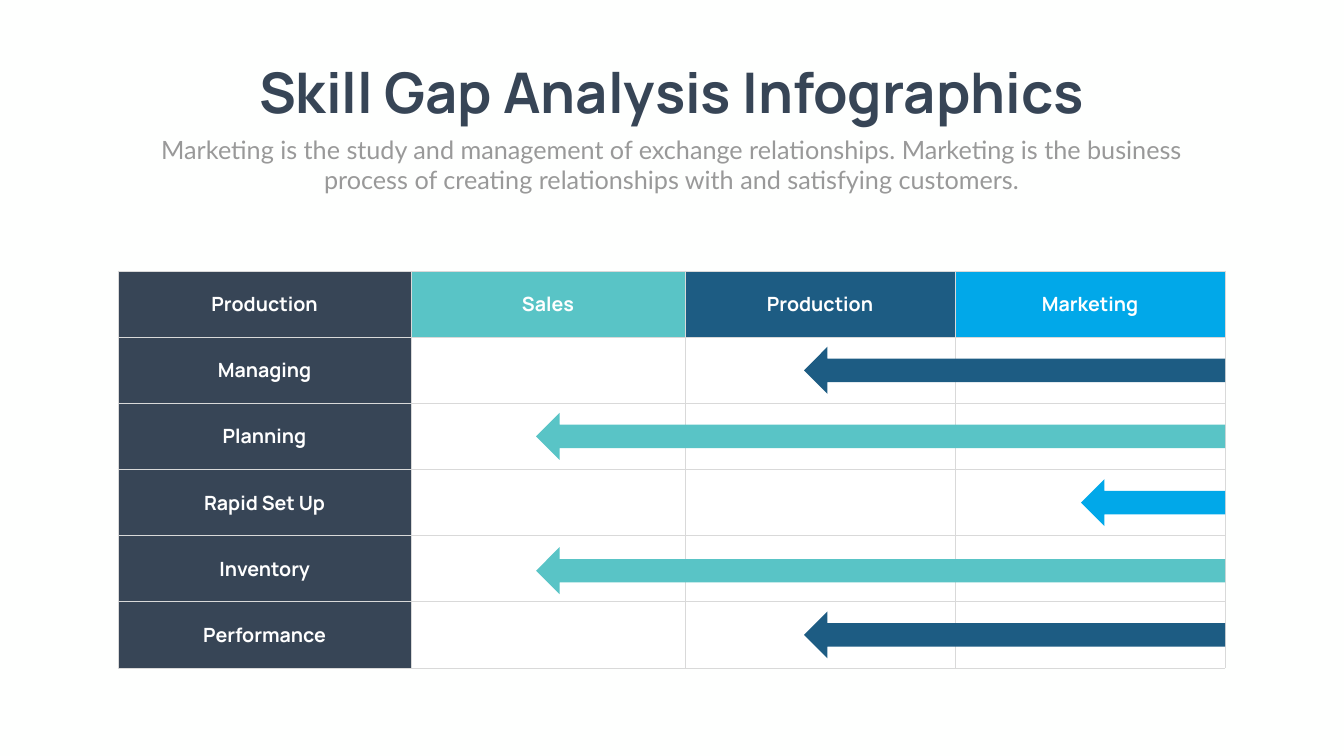
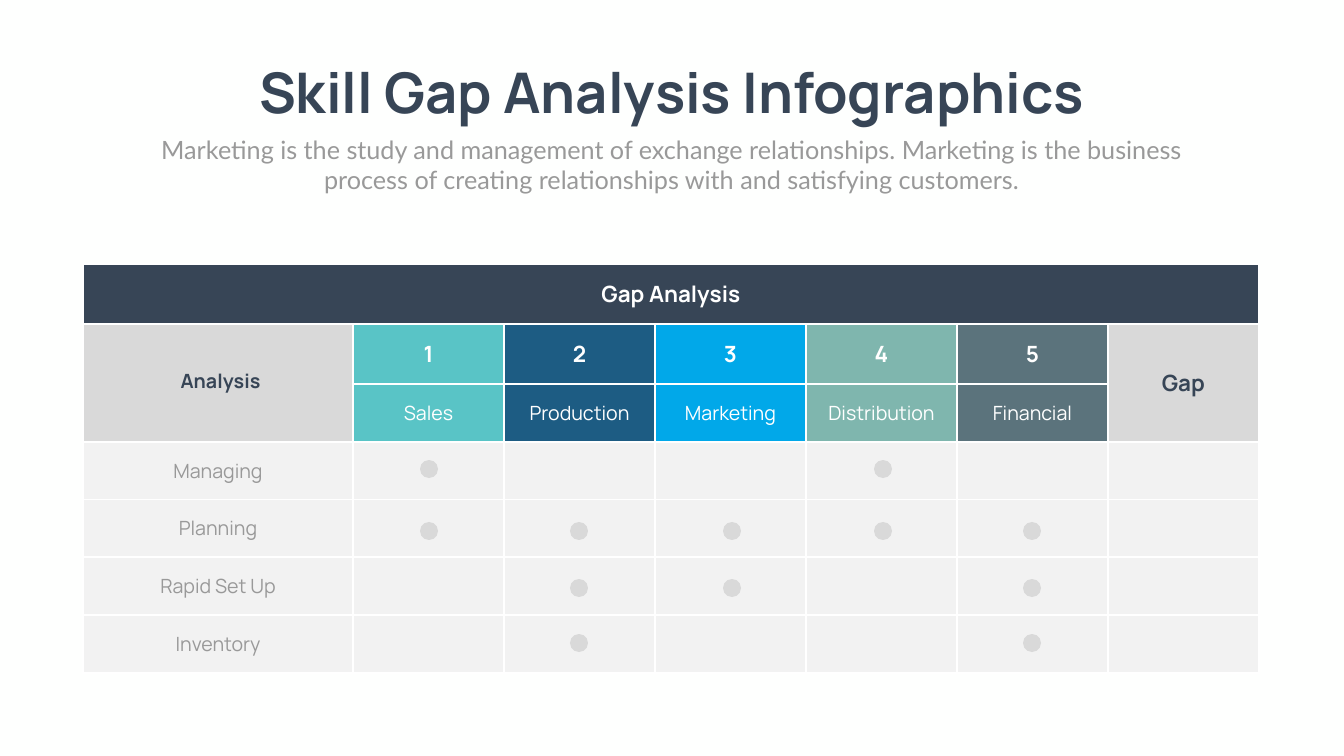
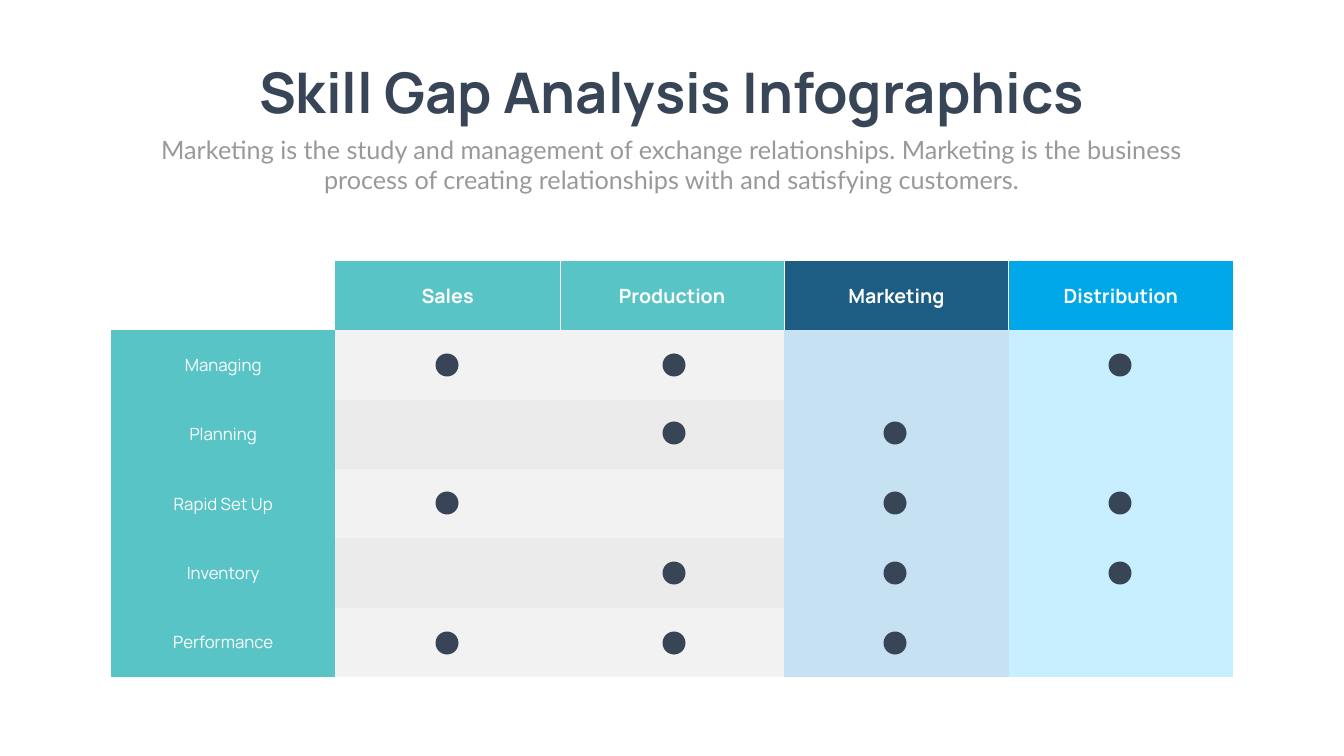
from collections import namedtuple

from lxml.etree import SubElement
from pptx import Presentation
from pptx.dml.color import RGBColor
from pptx.enum.shapes import MSO_SHAPE as Preset
from pptx.enum.text import MSO_ANCHOR as Anchor, MSO_AUTO_SIZE as AutoSize, PP_ALIGN as Align
from pptx.oxml.ns import qn
from pptx.util import Emu, Pt

EMU_PER_PX = 914400 / 50.4
SLIDE_W, SLIDE_H = 1344, 756

PAPER = RGBColor(0xFE, 0xFF, 0xFE)
WHITE = RGBColor(0xFF, 0xFF, 0xFF)
NAVY = RGBColor(0x37, 0x45, 0x56)
TEAL = RGBColor(0x59, 0xC4, 0xC6)
BLUE = RGBColor(0x1D, 0x5C, 0x83)
SKY = RGBColor(0x01, 0xA8, 0xE9)
SAGE = RGBColor(0x7F, 0xB6, 0xAE)
SLATE = RGBColor(0x5B, 0x73, 0x7C)
GREY = RGBColor(0x99, 0x99, 0x99)
SILVER = RGBColor(0xD9, 0xD9, 0xD9)
MIST = RGBColor(0xF2, 0xF2, 0xF2)
ASH = RGBColor(0xEB, 0xEB, 0xEB)
PALE_BLUE = RGBColor(0xC6, 0xE1, 0xF2)
PALE_SKY = RGBColor(0xC8, 0xEF, 0xFF)

HEAD_FONT, BODY_FONT = "Manrope", "Lato"
PLAIN_STYLE = "{2D5ABB26-0587-4C30-8999-92F81FD0307C}"

TITLE = "Skill Gap Analysis Infographics"
SUBTITLE = (
    "Marketing is the study and management of exchange relationships. "
    "Marketing is the business process of creating relationships with "
    "and satisfying customers."
)
SKILLS = ["Managing", "Planning", "Rapid Set Up", "Inventory", "Performance"]

Box = namedtuple("Box", "x y w h")
TITLE_BOX = Box(218, 57, 908, 73)
SUBTITLE_BOX = Box(147, 132, 1049, 66)


def px(length):
    return Emu(round(length * EMU_PER_PX))


def write(paragraph, text, size, color, bold=False, font=HEAD_FONT):
    paragraph.alignment = Align.CENTER
    run = paragraph.add_run()
    run.text = text
    run.font.name = font
    run.font.size = Pt(size)
    run.font.bold = bold
    run.font.color.rgb = color


def place_heading(holder, box, text, size, color, bold, font):
    holder.left, holder.top, holder.width, holder.height = map(px, box)
    frame = holder.text_frame
    frame.auto_size = AutoSize.NONE
    frame.vertical_anchor = Anchor.TOP
    paragraph = frame.paragraphs[0]
    properties = paragraph._p.get_or_add_pPr()
    properties.set("marL", "0")
    properties.set("indent", "0")
    SubElement(properties, qn("a:buNone"))
    paragraph.space_before = Pt(0)
    write(paragraph, text, size, color, bold, font)
    return frame


def add_headed_slide(prs):
    slide = prs.slides.add_slide(prs.slide_layouts[1])
    title = place_heading(slide.shapes.title, TITLE_BOX, TITLE, 80, NAVY, True, HEAD_FONT)
    title.margin_top = 0
    title.word_wrap = False
    place_heading(slide.placeholders[1], SUBTITLE_BOX, SUBTITLE, 36, GREY, False, BODY_FONT)
    return slide


def add_grid(slide, box, widths, heights):
    grid = slide.shapes.add_table(len(heights), len(widths), *map(px, box)).table
    grid.first_row = grid.horz_banding = False
    grid._tbl.tblPr.find(qn("a:tableStyleId")).text = PLAIN_STYLE
    for column, width in zip(grid.columns, widths):
        column.width = px(width)
    for row, height in zip(grid.rows, heights):
        row.height = px(height)
    return grid


def add_borders(cell, color, points, sides="LRTB"):
    properties = cell._tc.get_or_add_tcPr()
    for side in sides:
        line = SubElement(properties, qn(f"a:ln{side}"), w=str(Pt(points)))
        fill = SubElement(line, qn("a:solidFill"))
        SubElement(fill, qn("a:srgbClr"), val=str(color))


def paint(cell, color):
    cell.fill.solid()
    cell.fill.fore_color.rgb = color


def label(cell, text, size, color=WHITE, bold=False, insets=None):
    cell.vertical_anchor = Anchor.MIDDLE
    if insets:
        cell.margin_left, cell.margin_top, cell.margin_right, cell.margin_bottom = map(px, insets)
    write(cell.text_frame.paragraphs[0], text, size, color, bold)


def add_figure(slide, preset, x, y, w, h, color):
    figure = slide.shapes.add_shape(preset, px(x), px(y), px(w), px(h))
    figure.shadow.inherit = False
    figure.fill.solid()
    figure.fill.fore_color.rgb = color
    figure.line.fill.background()
    return figure


def add_dots(slide, box, centers_x, centers_y, marks, size, color):
    for center_y, row_marks in zip(centers_y, marks):
        for center_x, mark in zip(centers_x, row_marks):
            if mark == "x":
                add_figure(slide, Preset.OVAL, box.x + center_x - size / 2,
                           box.y + center_y - size / 2, size, size, color)


def add_left_arrow(slide, tip, end, center_y, color, thickness=47):
    length = end - tip
    arrow = add_figure(slide, Preset.UP_ARROW, (tip + end - thickness) / 2,
                       center_y - length / 2, thickness, length, color)
    arrow.rotation = 270


def build_arrow_chart(slide, box):
    row_h = box.h / 6
    grid = add_grid(slide, box, [293, 274, 270, 270], [row_h] * 6)
    departments = ["Production", "Sales", "Production", "Marketing"]
    header_fills = [NAVY, TEAL, BLUE, SKY]
    for r in range(6):
        for c in range(4):
            cell = grid.cell(r, c)
            add_borders(cell, SILVER, 1)
            paint(cell, header_fills[c] if r == 0 else NAVY if c == 0 else WHITE)
            if r == 0:
                label(cell, departments[c], 28, bold=True)
            elif c == 0:
                label(cell, SKILLS[r - 1], 28, bold=True)

    arrows = [(686, 0, BLUE), (418, 0, TEAL), (963, 0, SKY), (418, 2, TEAL), (686, 0, BLUE)]
    for r, (tip, drop, color) in enumerate(arrows, 1):
        center_y = box.y + (r + 0.5) * row_h + drop
        add_left_arrow(slide, box.x + tip, box.x + box.w, center_y, color)


def build_gap_matrix(slide, box):
    head_h = 60
    body_h = (box.h - 2 * head_h) / 5
    grid = add_grid(slide, box, [270] + [151] * 6, [head_h] * 2 + [body_h] * 5)
    departments = [("Sales", TEAL), ("Production", BLUE), ("Marketing", SKY),
                   ("Distribution", SAGE), ("Financial", SLATE)]
    column_fills = [SILVER] + [color for _, color in departments] + [SILVER]
    for r in range(7):
        for c in range(7):
            cell = grid.cell(r, c)
            add_borders(cell, WHITE, 3)
            paint(cell, NAVY if r == 0 else column_fills[c] if r < 3 else MIST)
    grid.cell(0, 0).merge(grid.cell(0, 6))
    for c in (0, 6):
        grid.cell(1, c).merge(grid.cell(2, c))

    insets = (7, 4, 7, 4)
    label(grid.cell(0, 0), "Gap Analysis", 32, bold=True, insets=insets)
    label(grid.cell(1, 0), "Analysis", 28, NAVY, True, (20, 0, 15, 4))
    label(grid.cell(1, 6), "Gap", 32, NAVY, True, insets)
    for c, (department, _) in enumerate(departments, 1):
        label(grid.cell(1, c), str(c), 32, bold=True, insets=insets)
        label(grid.cell(2, c), department, 28)
    for r, skill in enumerate(SKILLS[:4], 3):
        label(grid.cell(r, 0), skill, 28, GREY)

    marks = ["x..x.", "xxxxx", ".xx.x", ".x..x"]
    add_dots(slide, box, [346, 496, 649, 800, 949], [205, 267, 324, 379], marks, 18, SILVER)


def build_skill_matrix(slide, box):
    grid = add_grid(slide, box, [box.w / 5] * 5, [box.h / 6] * 6)
    departments = [("Sales", TEAL), ("Production", TEAL), ("Marketing", BLUE), ("Distribution", SKY)]
    grid.cell(0, 0).fill.background()
    for c, (department, color) in enumerate(departments, 1):
        cell = grid.cell(0, c)
        add_borders(cell, WHITE, 0.5, "R" if c == 1 else "L" if c == 4 else "LR")
        paint(cell, color)
        label(cell, department, 28, bold=True)
    for r, skill in enumerate(SKILLS, 1):
        stripe = MIST if r % 2 else ASH
        for c, color in enumerate([TEAL, stripe, stripe, PALE_BLUE, PALE_SKY]):
            paint(grid.cell(r, c), color)
        label(grid.cell(r, 0), skill, 24)

    marks = ["xx.x", ".xx.", "x.xx", ".xxx", "xxx."]
    add_dots(slide, box, [336, 563, 784, 1009], [104, 172, 242, 312, 382], marks, 23, NAVY)


def main():
    prs = Presentation()
    prs.slide_width, prs.slide_height = px(SLIDE_W), px(SLIDE_H)
    backdrop = prs.slide_master.background.fill
    backdrop.solid()
    backdrop.fore_color.rgb = PAPER

    build_arrow_chart(add_headed_slide(prs), Box(118, 271, 1107, 397))
    build_gap_matrix(add_headed_slide(prs), Box(83, 264, 1176, 409))
    build_skill_matrix(add_headed_slide(prs), Box(111, 261, 1122, 416))
    prs.save("out.pptx")


if __name__ == "__main__":
    main()
